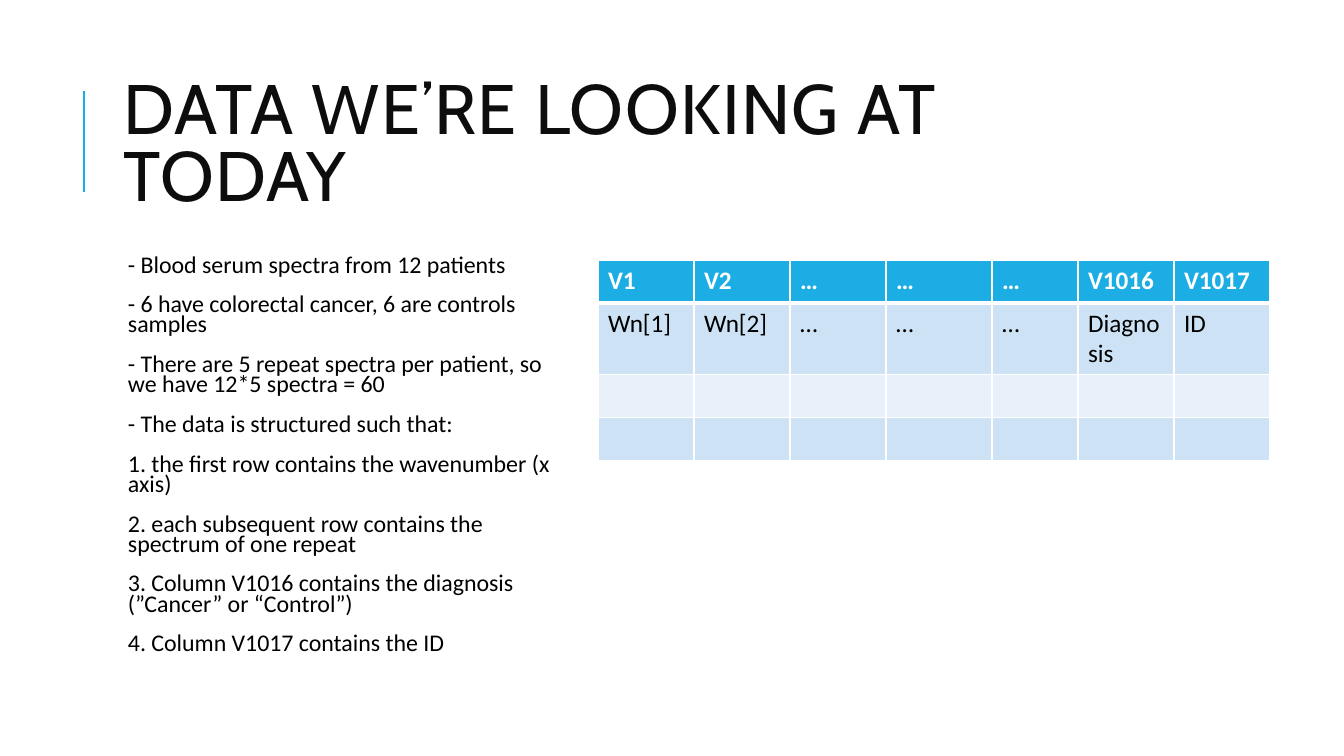
"""Build a slide on the layout of the blood serum spectra data."""
import pptx
import pptx.util
import pptx.dml.color
import pptx.enum.shapes
import pptx.enum.text
import pptx.oxml.ns
import lxml.etree

PX = 914400 / 100.8
THEME = {
    "accent": "1CADE4", "title": "0D0D0D", "text": "000000", "white": "FFFFFF",
    "dark band": "CDE3F5", "light band": "E8F1FA",
    "head font": "Cabin", "body font": "Calibri",
    "title size": 50, "list size": 17.1, "cell size": 18,
}
POINTS = [
    "- Blood serum spectra from 12 patients",
    "- 6 have colorectal cancer, 6 are controls samples",
    "- There are 5 repeat spectra per patient, so we have 12*5 spectra = 60",
    "- The data is structured such that:",
    "1. the first row contains the wavenumber (x axis)",
    "2. each subsequent row contains the spectrum of one repeat",
    "3. Column V1016 contains the diagnosis (”Cancer” or “Control”)",
    "4. Column V1017 contains the ID",
]
ROWS = [
    ["V1", "V2", "…", "…", "…", "V1016", "V1017"],
    ["Wn[1]", "Wn[2]", "…", "…", "…", "Diagnosis", "ID"],
    [""] * 7,
    [""] * 7,
]
BANDS = ["accent", "dark band", "light band", "dark band"]
WIDTHS = [96, 96, 96, 106, 86, 96, 96]
ROW_TALL = 43


def px(*sizes):
    """Turn pixel lengths into EMU."""
    return [pptx.util.Emu(round(size * PX)) for size in sizes]


def style(par, face, size, color):
    """Set the font of a whole paragraph."""
    par.font.name = THEME[face]
    par.font.size = pptx.util.Pt(THEME[size])
    par.font.color.rgb = pptx.dml.color.RGBColor.from_string(THEME[color])


deck = pptx.Presentation()
deck.slide_width, deck.slide_height = px(1344, 756)
slide = deck.slides.add_slide(deck.slide_layouts[1])
title, body = slide.placeholders

rule = slide.shapes.add_connector(
    pptx.enum.shapes.MSO_CONNECTOR.STRAIGHT, *px(84, 192, 84, 91))
rule.line.color.rgb = pptx.dml.color.RGBColor.from_string(THEME["accent"])
rule.line.width = pptx.util.Pt(1.5)
lxml.etree.SubElement(rule.element.spPr, pptx.oxml.ns.qn("a:effectLst"))

title.left, title.top, title.width, title.height = px(113, 65, 1072, 165)
frame = title.text_frame
frame.text = "DATA WE’RE LOOKING AT TODAY"
frame.word_wrap = True
frame.auto_size = pptx.enum.text.MSO_AUTO_SIZE.NONE
frame.vertical_anchor = pptx.enum.text.MSO_ANCHOR.MIDDLE
head = frame.paragraphs[0]
head.alignment = pptx.enum.text.PP_ALIGN.LEFT
head.line_spacing = 0.8
style(head, "head font", "title size", "title")
head.runs[0].font._element.set("spc", "100")

body.left, body.top, body.width, body.height = px(113, 252, 459, 415)
frame = body.text_frame
frame.text = "\n".join(POINTS)
frame.word_wrap = True
frame.auto_size = pptx.enum.text.MSO_AUTO_SIZE.NONE
frame.vertical_anchor = pptx.enum.text.MSO_ANCHOR.TOP
frame.margin_left, frame.margin_top, frame.margin_right, frame.margin_bottom = px(5, 5, 5, 5)
for index, par in enumerate(frame.paragraphs):
    props = par._p.get_or_add_pPr()
    props.set("marL", str(px(10)[0]))
    props.set("indent", "0")
    lxml.etree.SubElement(props, pptx.oxml.ns.qn("a:buNone"))
    par.alignment = pptx.enum.text.PP_ALIGN.LEFT
    par.line_spacing = 0.7
    par.space_before = pptx.util.Pt(12 if index else 0)
    par.space_after = pptx.util.Pt(2)
    style(par, "body font", "list size", "text")

table = slide.shapes.add_table(
    len(ROWS), len(WIDTHS), *px(598, 260, sum(WIDTHS), ROW_TALL * len(ROWS))).table
for column, width in zip(table.columns, WIDTHS):
    column.width, = px(width)
for row, texts in enumerate(ROWS):
    table.rows[row].height, = px(ROW_TALL)
    for col, text in enumerate(texts):
        cell = table.cell(row, col)
        cell.text = text
        par = cell.text_frame.paragraphs[0]
        style(par, "body font", "cell size", "text" if row else "white")
        par.font.bold = row == 0
        props = cell._tc.get_or_add_tcPr()
        for side in "LRTB":
            thick = (row, side) in [(0, "B"), (1, "T")]
            edge = lxml.etree.SubElement(props, pptx.oxml.ns.qn("a:ln" + side))
            edge.set("w", str(pptx.util.Pt(3 if thick else 1)))
            fill = lxml.etree.SubElement(edge, pptx.oxml.ns.qn("a:solidFill"))
            color = lxml.etree.SubElement(fill, pptx.oxml.ns.qn("a:srgbClr"))
            color.set("val", THEME["white"])
        cell.fill.solid()
        cell.fill.fore_color.rgb = pptx.dml.color.RGBColor.from_string(THEME[BANDS[row]])

deck.save("out.pptx")
